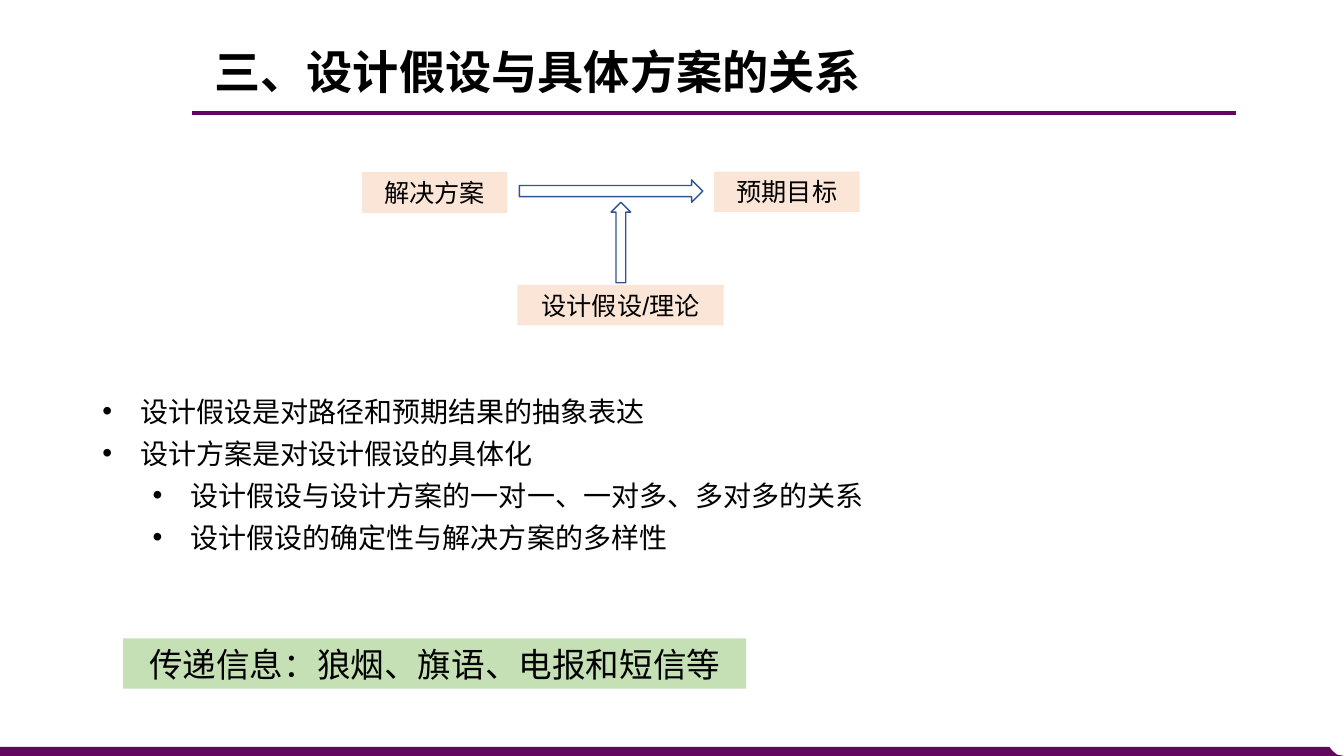
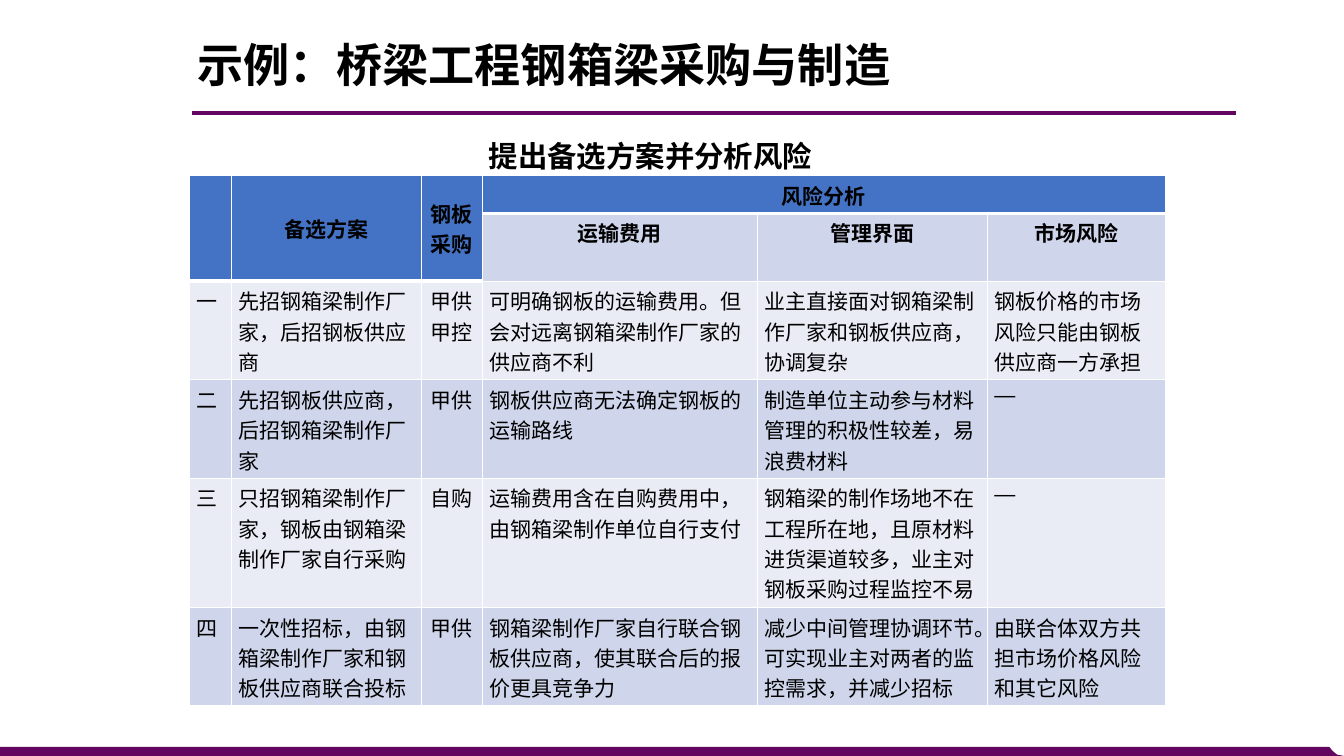
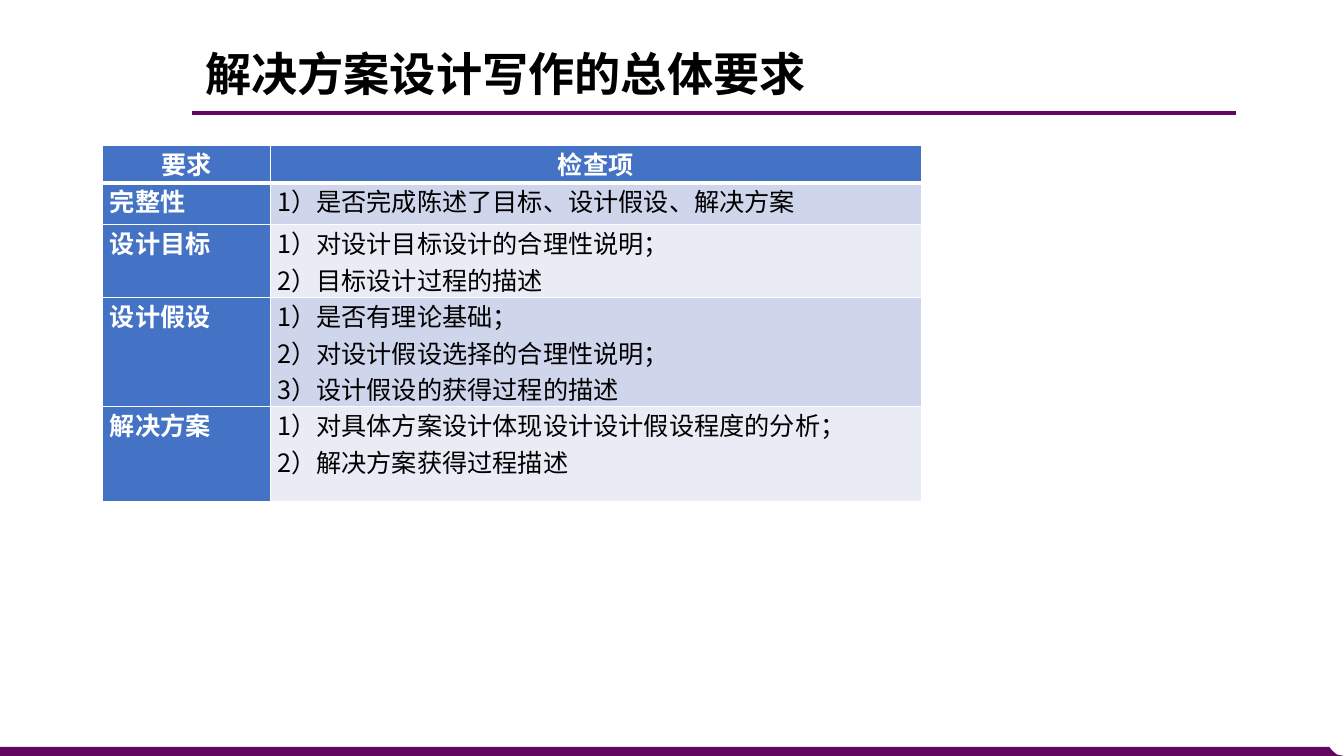
from dataclasses import dataclass
from typing import Optional

import lxml.etree
import pptx
import pptx.dml.color
import pptx.enum.shapes
import pptx.enum.text
import pptx.oxml.ns
import pptx.util

Pt = pptx.util.Pt
qn = pptx.oxml.ns.qn
ALIGN = pptx.enum.text.PP_ALIGN
ANCHOR = pptx.enum.text.MSO_ANCHOR
SHAPE = pptx.enum.shapes.MSO_SHAPE

COLORS = {
    "purple": "63065F",
    "peach": "FBE5D6",
    "green": "C5E0B4",
    "outline": "325491",
    "header": "4472C4",
    "band_dark": "CFD5EA",
    "band_light": "E9EBF5",
    "black": "000000",
    "white": "FFFFFF",
}
LATIN_FONT = "Arial"
CHINESE_FONT = "Noto Sans CJK SC"
SLIDE_WIDTH, SLIDE_HEIGHT = 960, 540


@dataclass(frozen=True)
class Box:
    left: float
    top: float
    width: float
    height: float

    def lengths(self) -> tuple:
        return Pt(self.left), Pt(self.top), Pt(self.width), Pt(self.height)


@dataclass(frozen=True)
class TextStyle:
    size: float
    bold: bool = False
    color: str = "black"
    align: ALIGN = ALIGN.LEFT
    font: str = LATIN_FONT
    spacing: Optional[float] = None


@dataclass(frozen=True)
class Label:
    text: str
    box: Box
    fill: str
    size: float


@dataclass(frozen=True)
class Bullet:
    text: str
    level: int = 0


@dataclass(frozen=True)
class CellStyle:
    text: TextStyle
    fill: str
    anchor: ANCHOR = ANCHOR.TOP


TITLE = TextStyle(33, bold=True, spacing=0.9)
SUBTITLE = TextStyle(21, bold=True)
BULLET = TextStyle(20, spacing=Pt(30))

LABELS = [
    Label("解决方案", Box(258.5, 123, 104, 29), "peach", 18),
    Label("预期目标", Box(510, 122.5, 104, 29), "peach", 18),
    Label("设计假设/理论", Box(369.5, 203.5, 147.5, 29), "peach", 18),
    Label("传递信息：狼烟、旗语、电报和短信等", Box(88, 456, 445, 36), "green", 24),
]
ARROWS = [
    (SHAPE.RIGHT_ARROW, Box(371, 128.5, 131, 16)),
    (SHAPE.UP_ARROW, Box(436.5, 144.5, 14, 57.5)),
]
BULLETS = [
    Bullet("设计假设是对路径和预期结果的抽象表达"),
    Bullet("设计方案是对设计假设的具体化"),
    Bullet("设计假设与设计方案的一对一、一对多、多对多的关系", 1),
    Bullet("设计假设的确定性与解决方案的多样性", 1),
]

RISK_COLUMNS = [30, 135.4, 43.6, 196.4, 164.4, 127]
RISK_ROWS = [27, 48.5, 70.3, 70.3, 92.5, 70.3]
RISK_MERGES = [(0, 0, 1, 0), (0, 1, 1, 1), (0, 2, 1, 2), (0, 3, 0, 5)]
RISKS = [
    ["", "备选方案", "钢板采购", "风险分析", "", ""],
    ["", "", "", "运输费用", "管理界面", "市场风险"],
    ["一", "先招钢箱梁制作厂家，后招钢板供应商", "甲供\n甲控",
     "可明确钢板的运输费用。但会对远离钢箱梁制作厂家的供应商不利",
     "业主直接面对钢箱梁制作厂家和钢板供应商，协调复杂",
     "钢板价格的市场风险只能由钢板供应商一方承担"],
    ["二", "先招钢板供应商，\n后招钢箱梁制作厂家", "甲供",
     "钢板供应商无法确定钢板的运输路线",
     "制造单位主动参与材料管理的积极性较差，易浪费材料", "—"],
    ["三", "只招钢箱梁制作厂家，钢板由钢箱梁制作厂家自行采购", "自购",
     "运输费用含在自购费用中，由钢箱梁制作单位自行支付",
     "钢箱梁的制作场地不在工程所在地，且原材料进货渠道较多，业主对钢板采购过程监控不易", "—"],
    ["四", "一次性招标，由钢箱梁制作厂家和钢板供应商联合投标", "甲供",
     "钢箱梁制作厂家自行联合钢板供应商，使其联合后的报价更具竞争力",
     "减少中间管理协调环节。\n可实现业主对两者的监控需求，并减少招标",
     "由联合体双方共担市场价格风险和其它风险"],
]

CHECK_COLUMNS = [119.5, 465]
CHECK_ROWS = [26.5, 30, 52, 78, 68]
CHECKS = [
    ["要求", "检查项"],
    ["完整性", "1）是否完成陈述了目标、设计假设、解决方案"],
    ["设计目标", "1）对设计目标设计的合理性说明；\n2）目标设计过程的描述"],
    ["设计假设", "1）是否有理论基础；\n2）对设计假设选择的合理性说明；\n3）设计假设的获得过程的描述"],
    ["解决方案", "1）对具体方案设计体现设计设计假设程度的分析；\n2）解决方案获得过程描述"],
]


def rgb(name: str) -> pptx.dml.color.RGBColor:
    return pptx.dml.color.RGBColor.from_string(COLORS[name])


def paint(target, name: str) -> None:
    target.fill.solid()
    target.fill.fore_color.rgb = rgb(name)


def style_paragraphs(frame, style: TextStyle) -> None:
    for paragraph in frame.paragraphs:
        paragraph.alignment = style.align
        if style.spacing:
            paragraph.line_spacing = style.spacing
        font = paragraph.font
        font.size = Pt(style.size)
        font.bold = style.bold
        font.name = style.font
        font.color.rgb = rgb(style.color)
        defaults = paragraph._p.get_or_add_pPr().find(qn("a:defRPr"))
        lxml.etree.SubElement(defaults, qn("a:ea"), typeface=CHINESE_FONT)


def add_text(slide, text: str, box: Box, style: TextStyle) -> None:
    frame = slide.shapes.add_textbox(*box.lengths()).text_frame
    frame.word_wrap = True
    frame.vertical_anchor = ANCHOR.MIDDLE
    frame.text = text
    style_paragraphs(frame, style)


def add_label(slide, label: Label) -> None:
    shape = slide.shapes.add_shape(SHAPE.RECTANGLE, *label.box.lengths())
    shape.shadow.inherit = False
    paint(shape, label.fill)
    shape.line.fill.background()
    frame = shape.text_frame
    frame.margin_top = frame.margin_bottom = 0
    frame.vertical_anchor = ANCHOR.MIDDLE
    frame.text = label.text
    style_paragraphs(frame, TextStyle(label.size, align=ALIGN.CENTER))


def add_arrow(slide, kind: SHAPE, box: Box) -> None:
    shape = slide.shapes.add_shape(kind, *box.lengths())
    shape.shadow.inherit = False
    shape.fill.background()
    shape.line.color.rgb = rgb("outline")
    shape.line.width = Pt(1)


def add_bullets(slide, bullets: list, box: Box) -> None:
    frame = slide.shapes.add_textbox(*box.lengths()).text_frame
    frame.word_wrap = True
    frame.text = "\n".join(bullet.text for bullet in bullets)
    for paragraph, bullet in zip(frame.paragraphs, bullets):
        paragraph.level = bullet.level
        properties = paragraph._p.get_or_add_pPr()
        properties.set("marL", str(Pt(27 + 36 * bullet.level)))
        properties.set("indent", str(-Pt(27)))
        lxml.etree.SubElement(properties, qn("a:buFont"), typeface=LATIN_FONT)
        lxml.etree.SubElement(properties, qn("a:buChar"), char="•")
    style_paragraphs(frame, BULLET)


def add_border(cell, side: str, width: float) -> None:
    properties = cell._tc.get_or_add_tcPr()
    line = lxml.etree.SubElement(properties, qn(f"a:ln{side}"), w=str(Pt(width)))
    fill = lxml.etree.SubElement(line, qn("a:solidFill"))
    lxml.etree.SubElement(fill, qn("a:srgbClr"), val=COLORS["white"])


def add_grid(slide, left: float, top: float, columns: list, rows: list, texts: list,
             cell_style, merges: list, vertical_margin: float) -> None:
    box = Box(left, top, sum(columns), sum(rows))
    table = slide.shapes.add_table(len(rows), len(columns), *box.lengths()).table
    table.first_row = table.horz_banding = False
    for column, width in zip(table.columns, columns):
        column.width = Pt(width)
    for row, height in zip(table.rows, rows):
        row.height = Pt(height)
    for first_row, first_column, last_row, last_column in merges:
        table.cell(first_row, first_column).merge(table.cell(last_row, last_column))
    for row, row_texts in enumerate(texts):
        for column, text in enumerate(row_texts):
            cell = table.cell(row, column)
            style = cell_style(row, column)
            add_border(cell, "L", 1)
            add_border(cell, "R", 1)
            if row == 0:
                add_border(cell, "T", 1)
            add_border(cell, "B", 3 if row == 0 or cell.is_spanned else 1)
            paint(cell, style.fill)
            cell.vertical_anchor = style.anchor
            cell.margin_left = cell.margin_right = Pt(5)
            cell.margin_top = cell.margin_bottom = Pt(vertical_margin)
            if text:
                cell.text_frame.text = text
                style_paragraphs(cell.text_frame, style.text)


def risk_style(row: int, column: int) -> CellStyle:
    heading = row < 2
    centered = heading or column == 2
    text = TextStyle(15, bold=heading, align=ALIGN.CENTER if centered else ALIGN.LEFT)
    if row == 0 or (row == 1 and column < 3):
        return CellStyle(text, "header", ANCHOR.MIDDLE if column < 3 else ANCHOR.TOP)
    return CellStyle(text, "band_dark" if row % 2 else "band_light")


def check_style(row: int, column: int) -> CellStyle:
    heading = row == 0 or column == 0
    text = TextStyle(18, bold=heading, color="white" if heading else "black",
                     align=ALIGN.JUSTIFY if row else ALIGN.CENTER, font=CHINESE_FONT)
    if heading:
        return CellStyle(text, "header")
    return CellStyle(text, "band_dark" if row % 2 else "band_light")


def add_base(presentation, title: str, title_box: Box):
    slide = presentation.slides.add_slide(presentation.slide_layouts[6])
    builder = slide.shapes.build_freeform(Pt(0), Pt(533.5))
    corner = [(949.5, 533.5), (952, 536.5), (955, 539), (SLIDE_WIDTH, SLIDE_HEIGHT), (0, SLIDE_HEIGHT)]
    builder.add_line_segments([(Pt(x), Pt(y)) for x, y in corner])
    band = builder.convert_to_shape()
    band.shadow.inherit = False
    paint(band, "purple")
    band.line.fill.background()
    rule = slide.shapes.add_connector(
        pptx.enum.shapes.MSO_CONNECTOR.STRAIGHT, Pt(137.5), Pt(80.7), Pt(882.7), Pt(80.7))
    rule.line.color.rgb = rgb("purple")
    rule.line.width = Pt(2.25)
    lxml.etree.SubElement(rule._element.spPr, qn("a:effectLst"))
    add_text(slide, title, title_box, TITLE)
    return slide


def add_relation_slide(presentation) -> None:
    slide = add_base(presentation, "三、设计假设与具体方案的关系", Box(146, 34, 600, 39))
    for label in LABELS:
        add_label(slide, label)
    for kind, box in ARROWS:
        add_arrow(slide, kind, box)
    add_bullets(slide, BULLETS, Box(66, 272, 748, 126))


def add_risk_slide(presentation) -> None:
    slide = add_base(presentation, "示例：桥梁工程钢箱梁采购与制造", Box(134, 29, 560, 38))
    add_text(slide, "提出备选方案并分析风险", Box(342, 93, 276, 37), SUBTITLE)
    add_grid(slide, 135.5, 125.5, RISK_COLUMNS, RISK_ROWS, RISKS, risk_style, RISK_MERGES, 3)


def add_check_slide(presentation) -> None:
    slide = add_base(presentation, "解决方案设计写作的总体要求", Box(139.5, 35.5, 519, 38))
    add_grid(slide, 73.5, 104, CHECK_COLUMNS, CHECK_ROWS, CHECKS, check_style, [], 0)


def main() -> None:
    presentation = pptx.Presentation()
    presentation.slide_width = Pt(SLIDE_WIDTH)
    presentation.slide_height = Pt(SLIDE_HEIGHT)
    add_relation_slide(presentation)
    add_risk_slide(presentation)
    add_check_slide(presentation)
    presentation.save("out.pptx")


if __name__ == "__main__":
    main()
